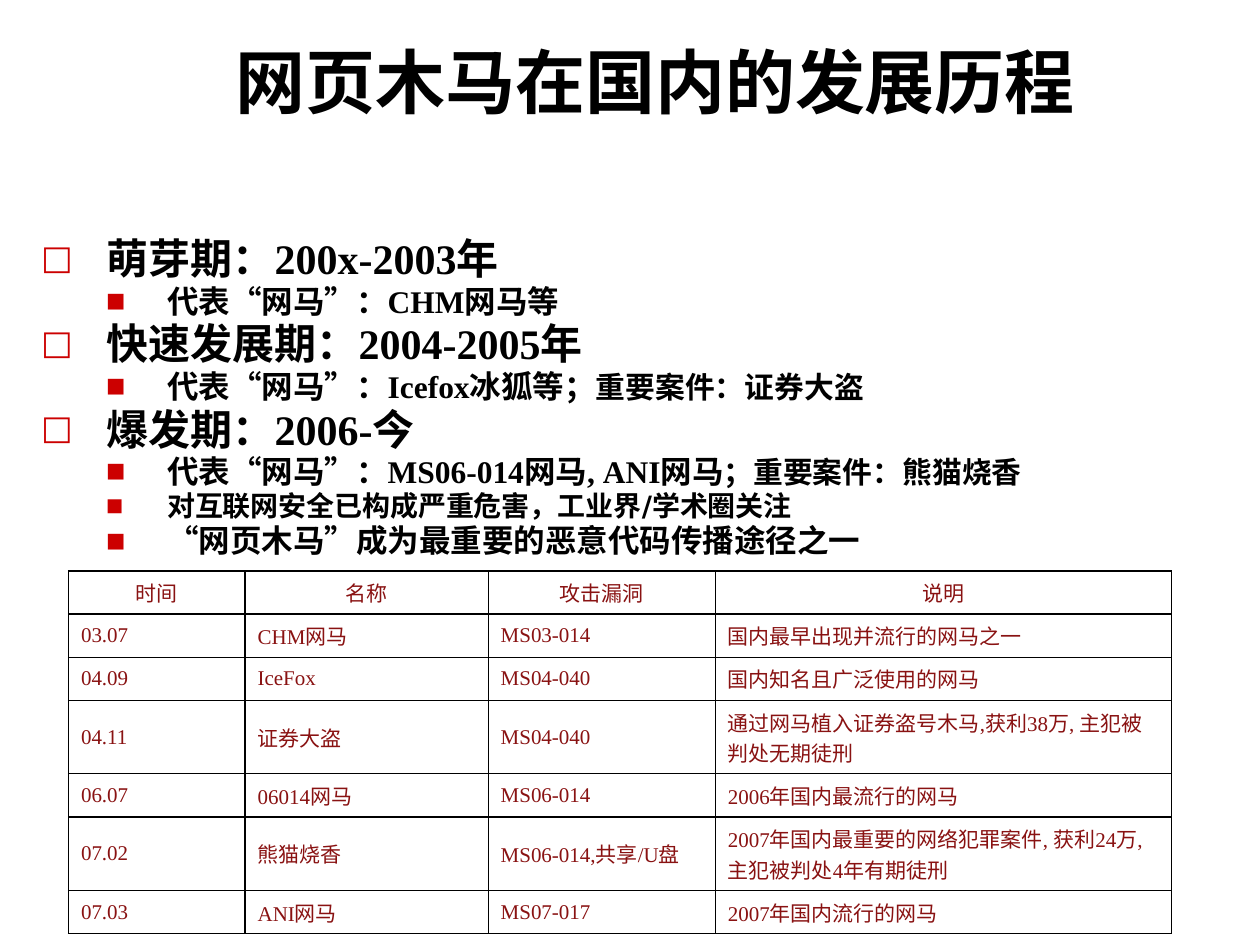
from dataclasses import dataclass

from lxml import etree
from pptx import Presentation
from pptx.dml.color import RGBColor
from pptx.enum.text import MSO_ANCHOR, PP_ALIGN
from pptx.oxml.ns import qn
from pptx.util import Cm, Pt

TOP, MIDDLE, BOTTOM = MSO_ANCHOR.TOP, MSO_ANCHOR.MIDDLE, MSO_ANCHOR.BOTTOM
LEFT, CENTER = PP_ALIGN.LEFT, PP_ALIGN.CENTER


@dataclass(frozen=True)
class Theme:
    serif: str = "Times New Roman"
    sans: str = "DejaVu Sans"
    ink: str = "000000"
    bullet: str = "CC0000"
    table_text: str = "891212"
    title_size: int = 40
    table_size: int = 12
    thin: float = 0.75
    thick: float = 1


THEME = Theme()

TITLE = [("网页木马", THEME.title_size, THEME.serif),
         ("在国内的发展历程", THEME.title_size, THEME.sans)]

# (level, runs), each run being (text, size, font)
OUTLINE = [
    (0, [("萌芽期：200x-2003年", 24, THEME.serif)]),
    (1, [("代表“网马”：CHM网马等", 18, THEME.serif)]),
    (0, [("快速发展期：2004-2005年", 24, THEME.serif)]),
    (1, [("代表“网马”：Icefox冰狐等；", 18, THEME.serif),
         ("重要案件：证券大盗", 17, THEME.sans)]),
    (0, [("爆发期：2006-今", 24, THEME.serif)]),
    (1, [("代表“网马”：MS06-014网马, ANI网马", 18, THEME.serif),
         ("；重要案件：熊猫烧香", 17, THEME.sans)]),
    (1, [("对互联网安全已构成严重危害，工业界/学术圈关注", 16, THEME.sans)]),
    (1, [("“网页木马”成为最重要的恶意代码传播途径之一", 18, THEME.serif)]),
]

# level: (bullet, bullet size in percent, text margin in cm, hanging indent in cm)
LEVELS = {0: ("□", 80, 1.32, 1.32), 1: ("■", 65, 2.54, 1.23)}

HISTORY = [
    ("时间", "名称", "攻击漏洞", "说明"),
    ("03.07", "CHM网马", "MS03-014", "国内最早出现并流行的网马之一"),
    ("04.09", "IceFox", "MS04-040", "国内知名且广泛使用的网马"),
    ("04.11", "证券大盗", "MS04-040", "通过网马植入证券盗号木马,获利38万, 主犯被判处无期徒刑"),
    ("06.07", "06014网马", "MS06-014", "2006年国内最流行的网马"),
    ("07.02", "熊猫烧香", "MS06-014,共享/U盘",
     "2007年国内最重要的网络犯罪案件, 获利24万, 主犯被判处4年有期徒刑"),
    ("07.03", "ANI网马", "MS07-017", "2007年国内流行的网马"),
]
COLUMN_WIDTHS = [3.56, 4.9, 4.58, 9.19]
ONE_LINE, TWO_LINES = 0.87, 1.48
ROW_HEIGHTS = [ONE_LINE, ONE_LINE, ONE_LINE, TWO_LINES, ONE_LINE, TWO_LINES, ONE_LINE]


def add_text_frame(slide, left, top, width, height, anchor):
    box = slide.shapes.add_textbox(Cm(left), Cm(top), Cm(width), Cm(height))
    frame = box.text_frame
    frame.word_wrap = True
    frame.vertical_anchor = anchor
    return frame


def add_runs(paragraph, runs):
    paragraph.font.bold = True
    paragraph.font.color.rgb = RGBColor.from_string(THEME.ink)
    for text, size, font_name in runs:
        run = paragraph.add_run()
        run.text = text
        run.font.size = Pt(size)
        run.font.name = font_name
        run.font.bold = True
        run.font.color.rgb = RGBColor.from_string(THEME.ink)


def set_bullet(paragraph, level):
    character, percent, margin, hanging = LEVELS[level]
    paragraph.level = level
    properties = paragraph._p.get_or_add_pPr()
    properties.set("marL", str(Cm(margin)))
    properties.set("indent", str(-Cm(hanging)))
    colour = etree.SubElement(properties, qn("a:buClr"))
    etree.SubElement(colour, qn("a:srgbClr"), val=THEME.bullet)
    etree.SubElement(properties, qn("a:buSzPct"), val=str(percent * 1000))
    etree.SubElement(properties, qn("a:buFont"), typeface=THEME.sans)
    etree.SubElement(properties, qn("a:buChar"), char=character)


def set_borders(cell, top, bottom):
    """Rule all four sides; top and bottom are widths in points."""
    properties = cell._tc.get_or_add_tcPr()
    widths = {"lnL": THEME.thin, "lnR": THEME.thin, "lnT": top, "lnB": bottom}
    for position, (side, width) in enumerate(widths.items()):
        line = etree.Element(qn(f"a:{side}"), w=str(Pt(width)))
        fill = etree.SubElement(line, qn("a:solidFill"))
        etree.SubElement(fill, qn("a:srgbClr"), val=THEME.ink)
        properties.insert(position, line)


def fill_cell(cell, text, alignment):
    cell.fill.background()
    cell.vertical_anchor = MIDDLE
    paragraph = cell.text_frame.paragraphs[0]
    paragraph.text = text
    paragraph.alignment = alignment
    paragraph.font.size = Pt(THEME.table_size)
    paragraph.font.name = THEME.serif
    paragraph.font.bold = False
    paragraph.font.color.rgb = RGBColor.from_string(THEME.table_text)


def add_outline(slide):
    frame = add_text_frame(slide, 0.58, 4.76, 24.36, 6.17, TOP)
    for index, (level, runs) in enumerate(OUTLINE):
        paragraph = frame.add_paragraph() if index else frame.paragraphs[0]
        paragraph.line_spacing = 0.8
        if index:
            largest_size = max(size for _, size, _ in runs)
            paragraph.space_before = Pt(round(0.2 * largest_size, 1))
        set_bullet(paragraph, level)
        add_runs(paragraph, runs)


def add_history_table(slide):
    table = slide.shapes.add_table(
        len(HISTORY), len(COLUMN_WIDTHS), Cm(1.38), Cm(11.51),
        Cm(sum(COLUMN_WIDTHS)), Cm(sum(ROW_HEIGHTS))).table
    table.first_row = table.horz_banding = False
    for column, width in zip(table.columns, COLUMN_WIDTHS):
        column.width = Cm(width)
    last = len(HISTORY) - 1
    for index, (row, height) in enumerate(zip(table.rows, ROW_HEIGHTS)):
        row.height = Cm(height)
        top = THEME.thick if index <= 1 else THEME.thin
        bottom = THEME.thick if index in (0, last) else THEME.thin
        for cell, text in zip(row.cells, HISTORY[index]):
            fill_cell(cell, text, LEFT if index else CENTER)
            set_borders(cell, top, bottom)


def main():
    presentation = Presentation()
    presentation.slide_width, presentation.slide_height = Cm(25.4), Cm(19.05)
    slide = presentation.slides.add_slide(presentation.slide_layouts[6])
    title_frame = add_text_frame(slide, 4.5, 0.71, 22.23, 1.88, BOTTOM)
    add_runs(title_frame.paragraphs[0], TITLE)
    add_outline(slide)
    add_history_table(slide)
    presentation.save("out.pptx")


if __name__ == "__main__":
    main()
